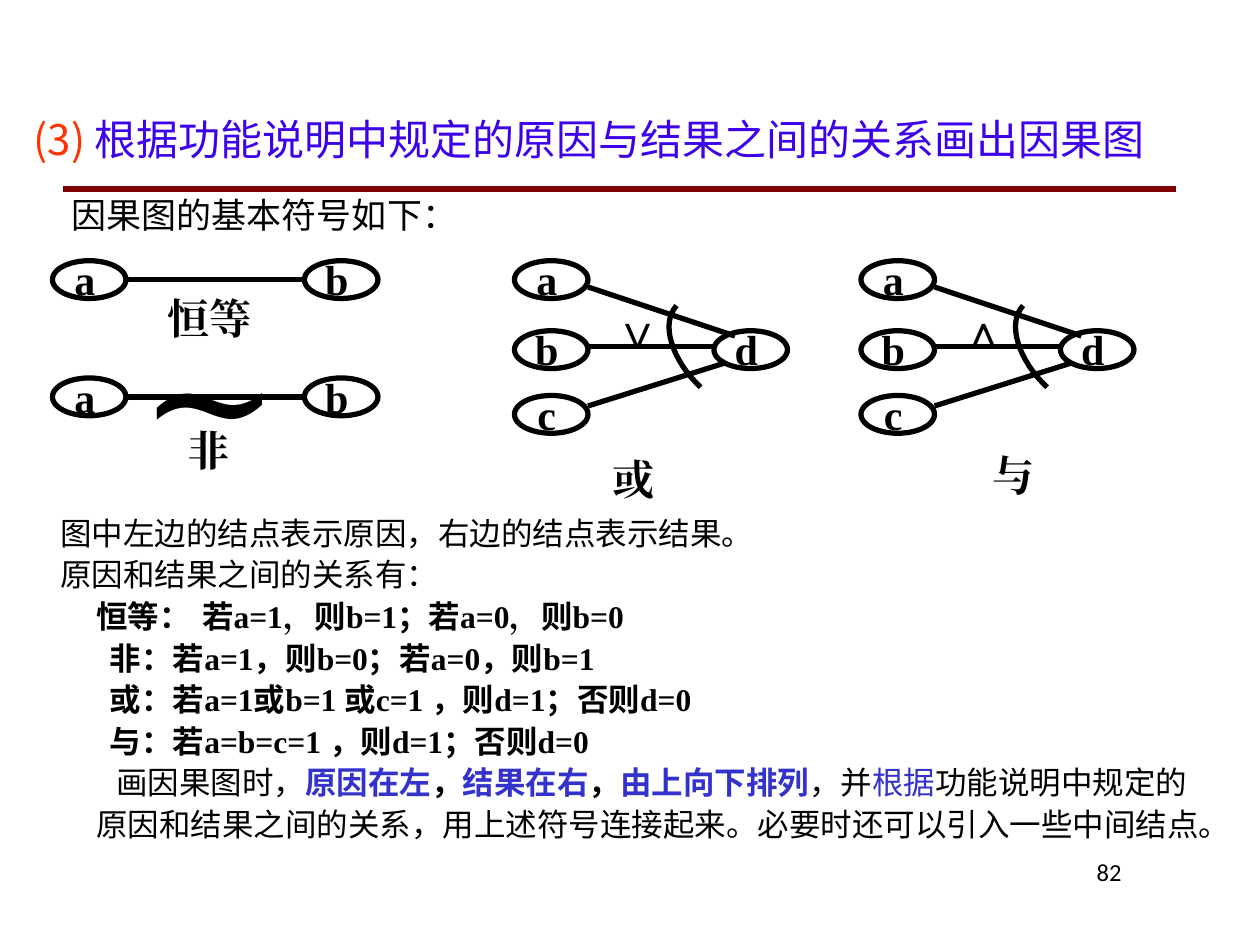
import math

from lxml import etree
from pptx import Presentation
from pptx.dml.color import RGBColor
from pptx.enum import shapes, text
from pptx.oxml import ns
from pptx.util import Pt

COLORS = {"black": "000000", "rule": "800000", "number": "FF3300",
          "heading": "3D00EA", "accent": "3333CC"}
SERIF, COMIC, SANS = "Times New Roman", "Comic Neue", "Noto Sans CJK SC"
NODE_W, NODE_H = 42, 21.6
CAPTION_H = 37.5


def rgb(name):
    return RGBColor.from_string(COLORS[name])


def add_run(paragraph, words, font, size, color="black", bold=False):
    run = paragraph.add_run()
    run.text = words
    for key, value in {"name": font, "size": Pt(size), "bold": bold}.items():
        setattr(run.font, key, value)
    run.font.color.rgb = rgb(color)
    east_asian = etree.SubElement(run.font._element, ns.qn("a:ea"))
    east_asian.set("typeface", font)


def format_frame(frame, wrap=True, anchor=text.MSO_ANCHOR.TOP):
    values = {"word_wrap": wrap, "vertical_anchor": anchor,
              "auto_size": text.MSO_AUTO_SIZE.NONE,
              "margin_left": Pt(7.2), "margin_right": Pt(7.2),
              "margin_top": Pt(3.6), "margin_bottom": Pt(3.6)}
    for key, value in values.items():
        setattr(frame, key, value)


def add_label(parts, x, y, w, h, words, size=24, font=SERIF, bold=True):
    label = parts.add_textbox(Pt(x), Pt(y), Pt(w), Pt(h))
    format_frame(label.text_frame, False, text.MSO_ANCHOR.MIDDLE)
    paragraph = label.text_frame.paragraphs[0]
    paragraph.alignment = text.PP_ALIGN.CENTER
    paragraph.line_spacing = 1.05
    add_run(paragraph, words, font, size, bold=bold)


def add_line(parts, x1, y1, x2, y2, color="black"):
    line = parts.add_connector(shapes.MSO_CONNECTOR.STRAIGHT,
                               Pt(x1), Pt(y1), Pt(x2), Pt(y2))
    line.line.width = Pt(3)
    line.line.color.rgb = rgb(color)
    etree.SubElement(line._element.spPr, ns.qn("a:effectLst"))


def outline(shape):
    shape.shadow.inherit = False
    shape.fill.background()
    shape.line.width = Pt(3)
    shape.line.color.rgb = rgb("black")


def add_node(parts, x, y, letter):
    outline(parts.add_shape(shapes.MSO_SHAPE.OVAL,
                            Pt(x), Pt(y), Pt(NODE_W), Pt(NODE_H)))
    add_label(parts, x + 6, y - 9, 25, CAPTION_H, letter)


def add_arc(parts, x, y, w, h, rotation, steps=16):
    """Quarter of an ellipse filling its box, then rotated."""
    angles = [math.pi / 2 * i / steps for i in range(steps + 1)]
    points = [(Pt(x + w * math.sin(a)), Pt(y + h * (1 - math.cos(a))))
              for a in angles]
    builder = parts.build_freeform(*points[0])
    builder.add_line_segments(points[1:], close=False)
    arc = builder.convert_to_shape()
    outline(arc)
    arc.rotation = rotation


def unary_relation(slide, x, y, caption, caption_box, tilde=False):
    parts = slide.shapes.add_group_shape().shapes
    for offset, letter in ((144, "b"), (0, "a")):
        add_node(parts, x + offset, y, letter)
    add_line(parts, x + 41, y + NODE_H / 2, x + 144, y + NODE_H / 2)
    if tilde:
        add_label(parts, x + 42.5, y - 59, 94.3, 128, "∼", 96, bold=False)
    dx, dy, w = caption_box
    add_label(parts, x + dx, y + dy, w, CAPTION_H, caption)


def gate_relation(slide, x, y, symbol, caption, caption_offset):
    parts = slide.shapes.add_group_shape().shapes
    add_label(parts, x + 58.3, y + 17.3, 24, 42.5, symbol, 28, "Arial")
    for dx, dy, letter in ((0, 0, "a"), (0, 40, "b"), (0, 77, "c"),
                           (114, 40, "d")):
        add_node(parts, x + dx, y + dy, letter)
    for start, end_x, end_y in ((15, 126, 43), (49, 114, 49), (83, 120, 58.5)):
        add_line(parts, x + NODE_W, y + start, x + end_x, y + end_y)
    add_arc(parts, x + 78.5, y + 36.7, 42, 24.5, 223.4)
    dx, dy = caption_offset
    add_label(parts, x + dx, y + dy, 38, CAPTION_H, caption)


def heading(slide, x, y, w, h):
    title = slide.shapes.title
    title.left, title.top, title.width, title.height = map(Pt, (x, y, w, h))
    format_frame(title.text_frame)
    paragraph = title.text_frame.paragraphs[0]
    paragraph.alignment = text.PP_ALIGN.LEFT
    paragraph.line_spacing = 1.05
    add_run(paragraph, "(3) ", SANS, 24, "number")
    add_run(paragraph, "根据功能说明中规定的原因与结果之间的关系画出因果图",
            SANS, 24, "heading")


def text_line(slide, x, y, w, h, words, font, size, align):
    box = slide.shapes.add_textbox(Pt(x), Pt(y), Pt(w), Pt(h))
    format_frame(box.text_frame)
    paragraph = box.text_frame.paragraphs[0]
    paragraph.alignment = align
    add_run(paragraph, words, font, size)


def explanation(slide, x, y, w, h):
    box = slide.shapes.add_textbox(Pt(x), Pt(y), Pt(w), Pt(h))
    format_frame(box.text_frame)
    # Each paragraph: left margin, first-line indent, (words, font, color, bold)
    paragraphs = [
        (15.4, 0, [("图中左边的结点表示原因，右边的结点表示结果。", COMIC, "black", False)]),
        (15.4, 0, [("原因和结果之间的关系有：", COMIC, "black", False)])]
    # Chinese words and formulas take turns
    rules = [
        (36, ["恒等： 若", "a=1，", "则", "b=1", "；若", "a=0，", "则", "b=0"]),
        (43.7, ["非：若", "a=1", "，则", "b=0", "；若", "a=0", "，则", "b=1"]),
        (43.7, ["或：若", "a=1", "或", "b=1 ", "或", "c=1 ", "，则", "d=1",
                "；否则", "d=0"]),
        (43.7, ["与：若", "a=b=c=1 ", "，则", "d=1", "；否则", "d=0"])]
    for margin, pieces in rules:
        paragraphs.append((margin, 0, [
            (piece, (COMIC, SERIF)[i % 2], "black", True)
            for i, piece in enumerate(pieces)]))
    advice = [
        ("画因果图时，", "black", False), ("原因在左", "accent", True),
        ("，", "black", True), ("结果在右", "accent", True),
        ("，", "black", True), ("由上向下排列", "accent", True),
        ("，并", "black", False), ("根据", "accent", False),
        ("功能说明中规定的原因和结果之间的关系，用上述符号连接起来。"
         "必要时还可以引入一些中间结点。", "black", False)]
    paragraphs.append((36, 11.5, [(words, COMIC, color, bold)
                                  for words, color, bold in advice]))

    frame = box.text_frame
    for i, (margin, indent, runs) in enumerate(paragraphs):
        paragraph = frame.add_paragraph() if i else frame.paragraphs[0]
        paragraph.line_spacing = 1.1
        properties = paragraph._p.get_or_add_pPr()
        properties.set("marL", str(Pt(margin)))
        properties.set("indent", str(Pt(indent)))
        for words, font, color, bold in runs:
            add_run(paragraph, words, font, 18, color, bold)


def main():
    deck = Presentation()
    deck.slide_width, deck.slide_height = Pt(720), Pt(540)
    slide = deck.slides.add_slide(deck.slide_layouts[5])

    # Heading, rule and introduction
    heading(slide, 12, 60, 690, 44)
    add_line(slide.shapes, 36, 108, 672, 108, "rule")
    text_line(slide, 33.8, 107, 400, 38, "因果图的基本符号如下：", SANS, 20,
              text.PP_ALIGN.LEFT)

    # Basic symbols
    unary_relation(slide, 30, 149, "恒等", (58.6, 13, 62))
    unary_relation(slide, 30, 216, "非", (70, 21.6, 38), tilde=True)
    gate_relation(slide, 294, 149, "∨", "或", (49, 105))
    gate_relation(slide, 492, 149, "∧", "与", (68.4, 103))

    # Meaning of the symbols and page number
    explanation(slide, 12, 288, 690, 197)
    text_line(slide, 546, 486, 102, 36, "82", "Calibri", 14,
              text.PP_ALIGN.RIGHT)
    deck.save("out.pptx")


if __name__ == "__main__":
    main()
